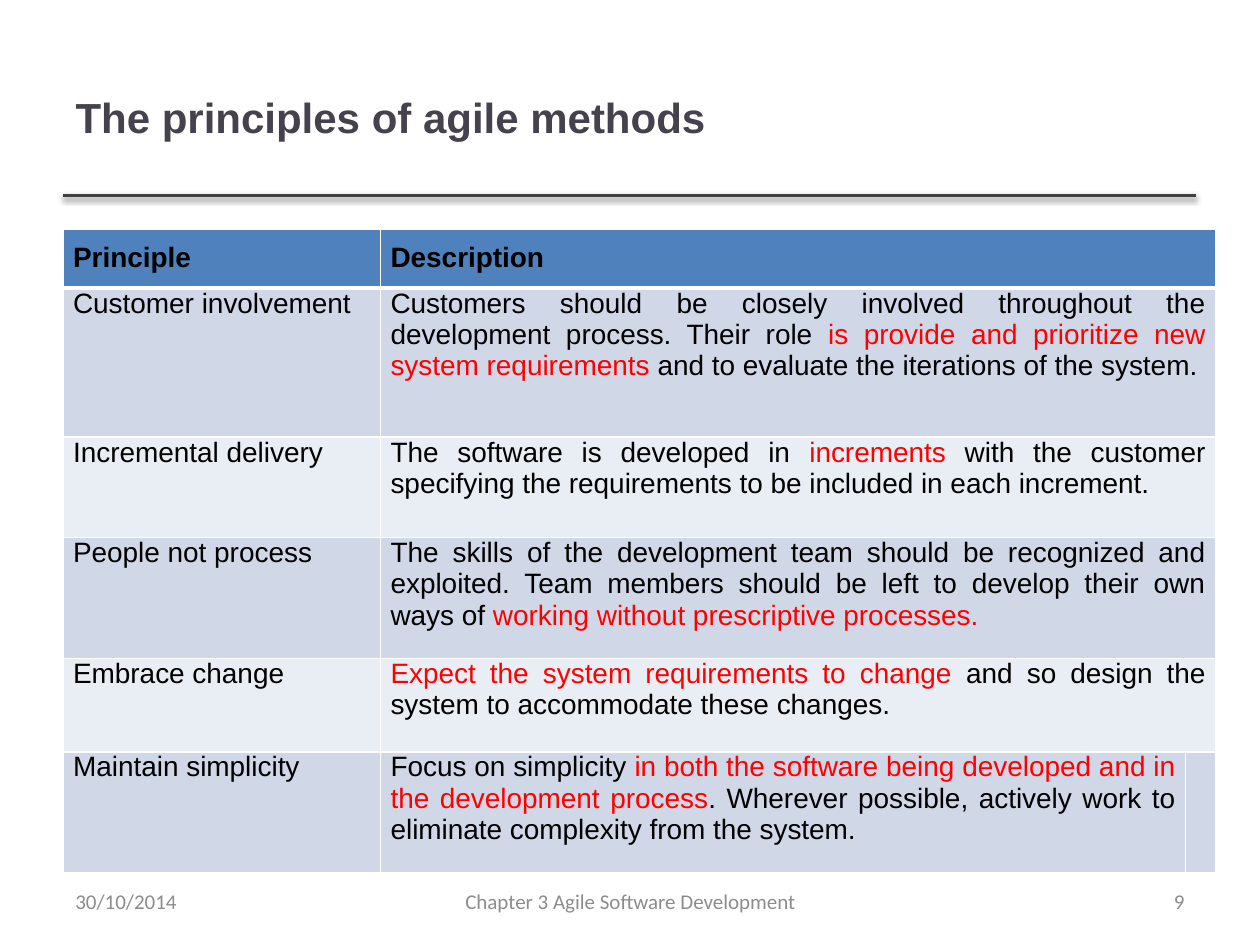
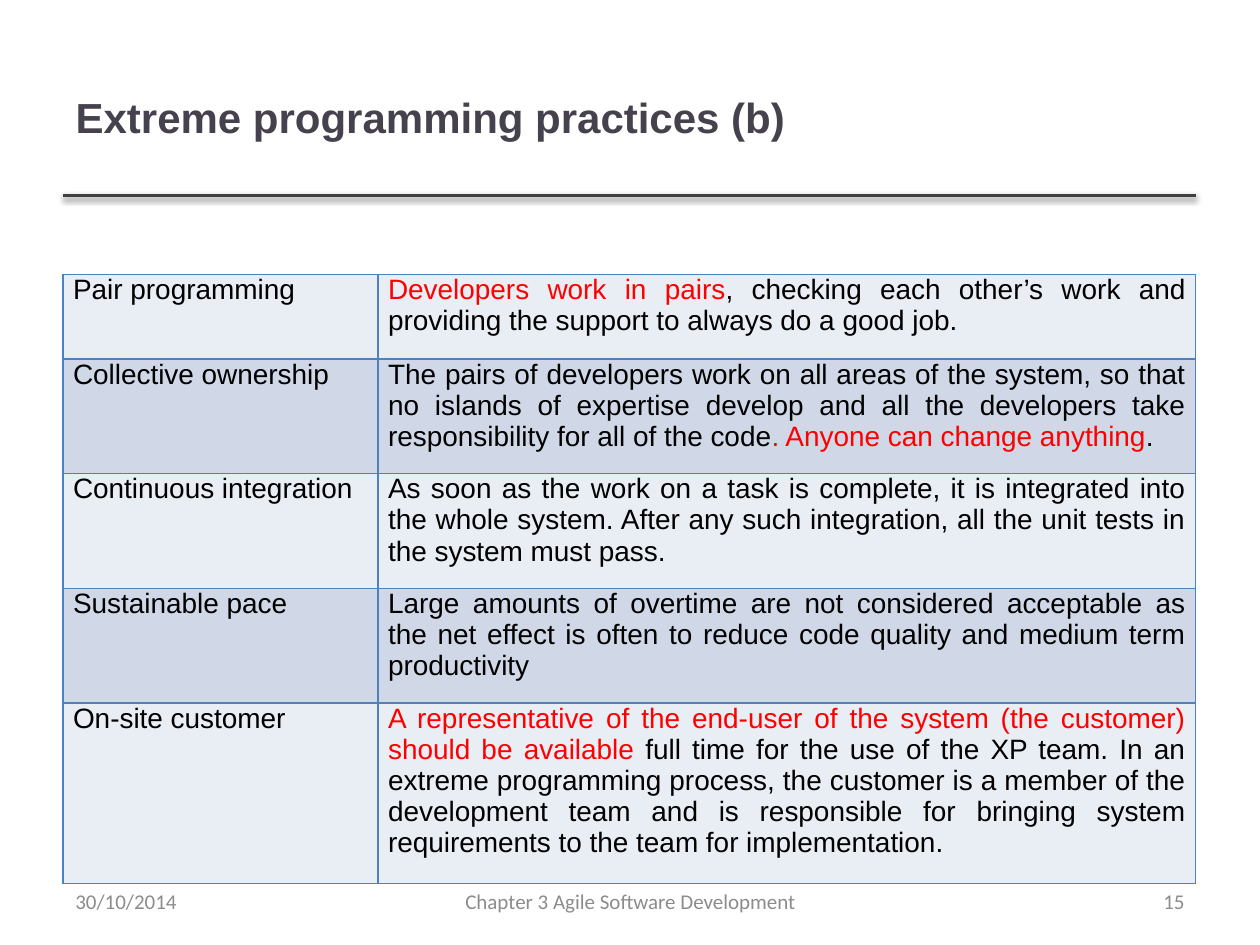
from dataclasses import dataclass

from lxml import etree
from pptx import Presentation
from pptx.dml.color import RGBColor
from pptx.enum.shapes import MSO_CONNECTOR
from pptx.enum.text import MSO_ANCHOR, PP_ALIGN
from pptx.oxml import parse_xml
from pptx.oxml.ns import nsdecls, qn
from pptx.util import Inches, Pt


@dataclass(frozen=True)
class Theme:
    title_color: str = "46424D"
    rule_color: str = "404040"
    footer_color: str = "8C8C8C"
    text_color: str = "000000"
    highlight: str = "FF0000"
    accent: str = "4F81BD"
    white: str = "FFFFFF"
    dark_band: str = "D0D8E8"
    light_band: str = "E9EDF4"
    body_font: str = "Arial"
    footer_font: str = "Calibri"
    title_size: int = 24
    body_size: int = 16
    footer_size: int = 12


FOOTER = "Chapter 3 Agile Software Development"
DATE = "30/10/2014"

# Text between asterisks is highlighted.
PRINCIPLES = [
    ("Principle", "Description"),
    ("Customer involvement",
     "Customers should be closely involved throughout the development process. "
     "Their role *is provide and prioritize new system requirements *and to "
     "evaluate the iterations of the system."),
    ("Incremental delivery",
     "The software is developed in *increments* with the customer specifying "
     "the requirements to be included in each increment."),
    ("People not process",
     "The skills of the development team should be recognized and exploited. "
     "Team members should be left to develop their own ways of "
     "*working without prescriptive processes.*"),
    ("Embrace change",
     "*Expect the system requirements to change *and so design the system to "
     "accommodate these changes."),
    ("Maintain simplicity",
     "Focus on simplicity *in both the software being developed and in the "
     "development process*. Wherever possible, actively work to eliminate "
     "complexity from the system."),
]

PRACTICES = [
    ("Pair programming",
     "*Developers work in pairs*, checking each other’s work and providing the "
     "support to always do a good job."),
    ("Collective ownership",
     "The pairs of developers work on all areas of the system, so that no "
     "islands of expertise develop and all the developers take responsibility "
     "for all of the code*. Anyone can change anything*."),
    ("Continuous integration",
     "As soon as the work on a task is complete, it is integrated into the "
     "whole system. After any such integration, all the unit tests in the "
     "system must pass."),
    ("Sustainable pace",
     "Large amounts of overtime are not considered acceptable as the net "
     "effect is often to reduce code quality and medium term productivity"),
    ("On-site customer",
     "*A representative of the end-user of the system (the customer) should be "
     "available *full time for the use of the XP team. In an extreme "
     "programming process, the customer is a member of the development team "
     "and is responsible for bringing system requirements to the team for "
     "implementation."),
]


class Deck:
    def __init__(self, theme):
        self.theme = theme
        self.prs = Presentation()
        self.prs.slide_width, self.prs.slide_height = Inches(10), Inches(7.5)
        self.slide = None

    def add_slide(self, title, number):
        self.slide = self.prs.slides.add_slide(self.prs.slide_layouts[5])
        self.rule()
        self.title(title)
        self.footer(DATE, 0.5, 2.33, PP_ALIGN.LEFT)
        self.footer(FOOTER, 3.42, 3.17, PP_ALIGN.CENTER)
        self.footer(str(number), 7.17, 2.33, PP_ALIGN.RIGHT)

    def style(self, paragraph, font, size, color, align, bold=False):
        paragraph.alignment = align
        paragraph.font.name = font
        paragraph.font.size = Pt(size)
        paragraph.font.bold = bold
        paragraph.font.color.rgb = RGBColor.from_string(color)

    def title(self, text):
        t, title = self.theme, self.slide.shapes.title
        title.left, title.top = Inches(0.5), Inches(0.3)
        title.width, title.height = Inches(7.98), Inches(1.25)
        title.text_frame.text = text
        title.text_frame.vertical_anchor = MSO_ANCHOR.MIDDLE
        self.style(title.text_frame.paragraphs[0], t.body_font, t.title_size,
                   t.title_color, PP_ALIGN.LEFT, bold=True)

    def rule(self):
        """Draw the line under the title, with its soft shadow."""
        line = self.slide.shapes.add_connector(
            MSO_CONNECTOR.STRAIGHT,
            Inches(0.5), Inches(1.55), Inches(9.49), Inches(1.55))
        line.line.color.rgb = RGBColor.from_string(self.theme.rule_color)
        line.line.width = Pt(2)
        line._element.spPr.append(parse_xml(
            f'<a:effectLst {nsdecls("a")}><a:outerShdw blurRad="{Pt(3.1)}" '
            f'dist="{Pt(1.6)}" dir="5400000" rotWithShape="0">'
            '<a:srgbClr val="000000"><a:alpha val="38000"/></a:srgbClr>'
            '</a:outerShdw></a:effectLst>'))

    def footer(self, text, left, width, align):
        t = self.theme
        frame = self.slide.shapes.add_textbox(
            Inches(left), Inches(6.95), Inches(width), Inches(0.4)).text_frame
        frame.word_wrap = True
        frame.vertical_anchor = MSO_ANCHOR.MIDDLE
        frame.text = text
        self.style(frame.paragraphs[0], t.footer_font, t.footer_size,
                   t.footer_color, align)

    def table(self, rows, left, top, widths, heights, border, has_header=False):
        t = self.theme
        table = self.slide.shapes.add_table(
            len(rows), len(widths), Inches(left), Inches(top),
            Inches(sum(widths)), Inches(sum(heights))).table
        table.first_row = has_header
        for column, width in zip(table.columns, widths):
            column.width = Inches(width)
        for r, (texts, height) in enumerate(zip(rows, heights)):
            table.rows[r].height = Inches(height)
            is_header = has_header and r == 0
            fill = t.accent if is_header else (t.light_band, t.dark_band)[r % 2]
            edges = {"L": 1, "R": 1,
                     "T": 3 if has_header and r == 1 else 1,
                     "B": 3 if is_header else 1}
            for c in range(len(widths)):
                cell = table.cell(r, c)
                cell.fill.solid()
                cell.fill.fore_color.rgb = RGBColor.from_string(fill)
                self.borders(cell, border, edges)
                if c < len(texts):
                    self.cell_text(cell, texts[c], is_header)
        return table

    def cell_text(self, cell, text, is_header):
        t = self.theme
        cell.margin_left = cell.margin_right = Inches(0.08)
        cell.margin_top = Inches(0.1 if is_header else 0)
        cell.margin_bottom = Inches(0.1)
        paragraph = cell.text_frame.paragraphs[0]
        self.style(paragraph, t.body_font, t.body_size, t.text_color,
                   PP_ALIGN.JUSTIFY, bold=is_header)
        for i, part in enumerate(text.split("*")):
            if part:
                run = paragraph.add_run()
                run.text = part
                if i % 2:
                    run.font.color.rgb = RGBColor.from_string(t.highlight)

    def borders(self, cell, color, edges):
        properties = cell._tc.get_or_add_tcPr()
        for i, (side, width) in enumerate(edges.items()):
            edge = etree.Element(qn(f"a:ln{side}"), w=str(Pt(width)))
            solid = etree.SubElement(edge, qn("a:solidFill"))
            etree.SubElement(solid, qn("a:srgbClr"), val=color)
            properties.insert(i, edge)


def main():
    theme = Theme()
    deck = Deck(theme)

    deck.add_slide("The principles of agile methods", 9)
    principles = deck.table(
        PRINCIPLES, 0.5, 1.82, [2.52, 6.39, 0.14],
        [0.44, 1.18, 0.8, 0.96, 0.74, 0.96], theme.white, has_header=True)
    for r in range(len(PRINCIPLES) - 1):
        principles.cell(r, 1).merge(principles.cell(r, 2))

    deck.add_slide("Extreme programming practices (b)", 15)
    deck.table(PRACTICES, 0.5, 2.18, [2.5, 6.49],
               [0.67, 0.91, 0.91, 0.91, 1.4], theme.accent)

    deck.prs.save("out.pptx")


if __name__ == "__main__":
    main()
